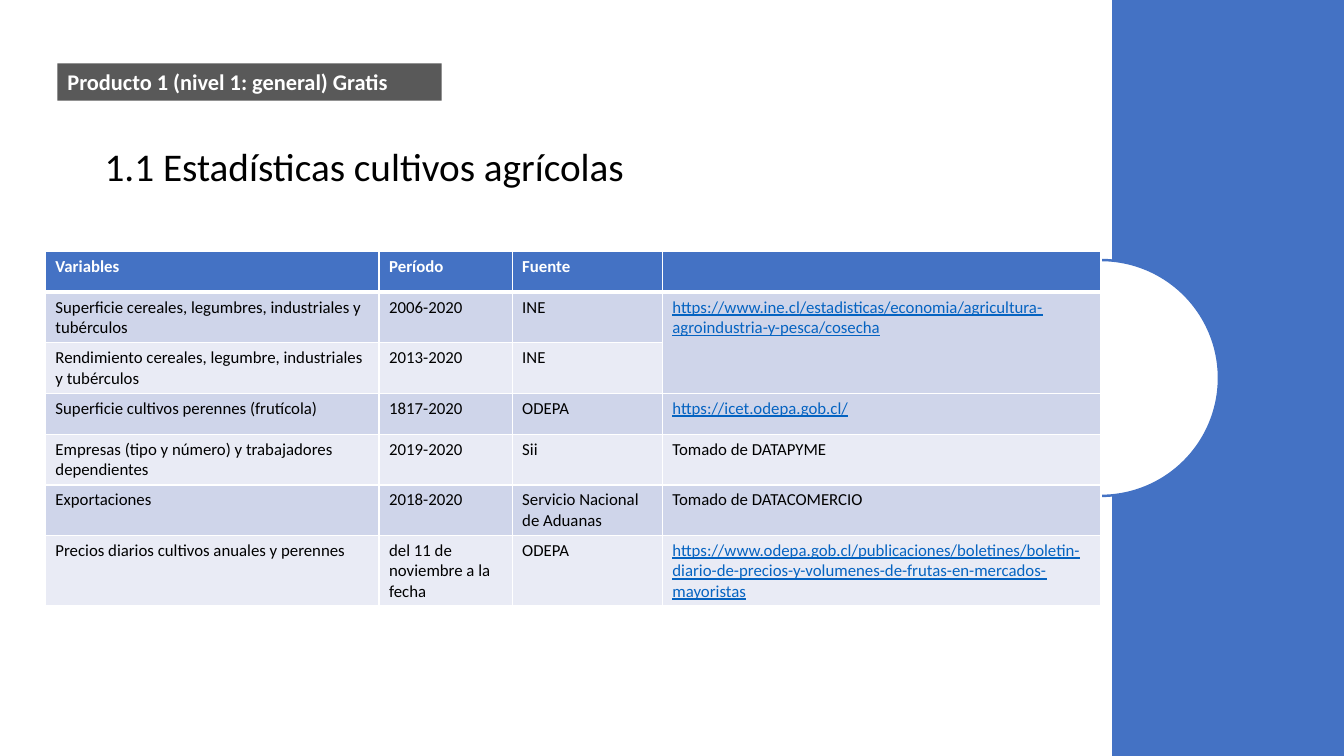
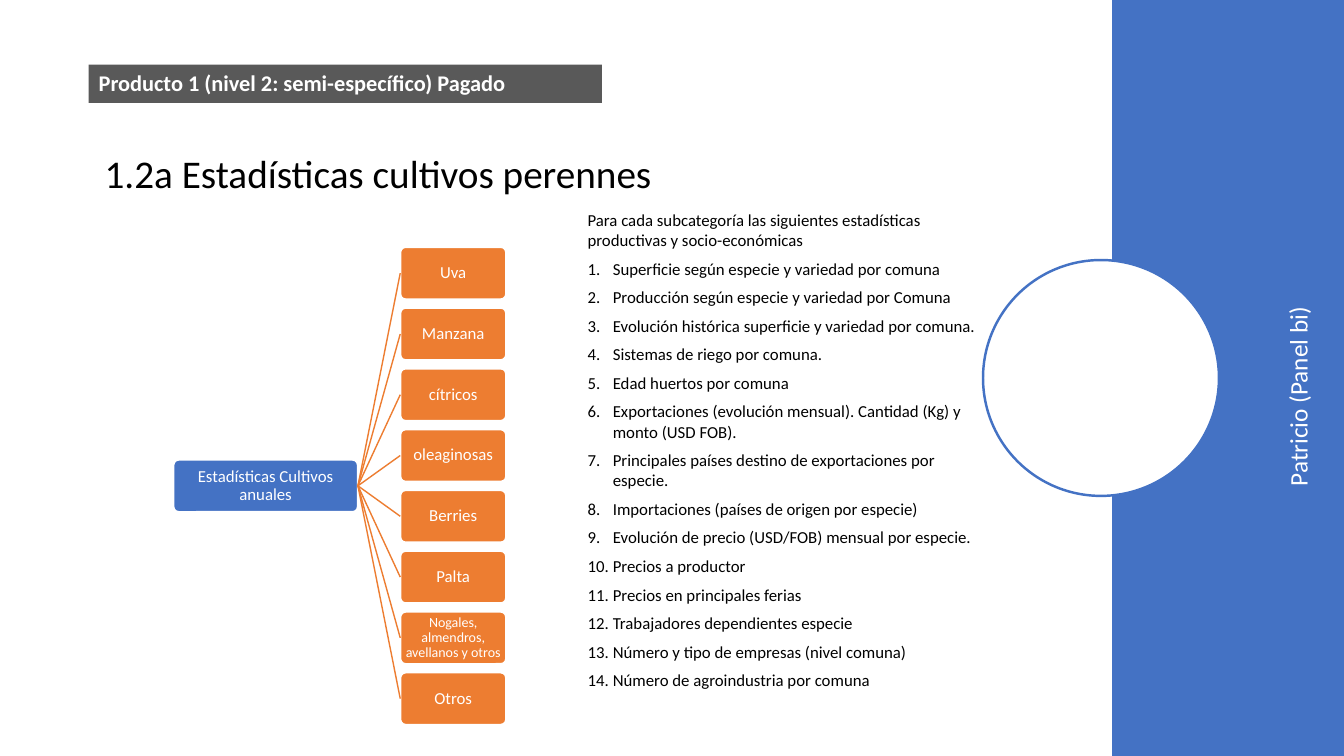
"""Build two slides on crop statistics: a table of sources and a tree of perennial crops."""
from dataclasses import dataclass

from lxml import etree
from pptx import Presentation
from pptx.dml.color import RGBColor
from pptx.enum.shapes import MSO_CONNECTOR, MSO_SHAPE
from pptx.enum.text import MSO_ANCHOR, PP_ALIGN
from pptx.oxml import parse_xml
from pptx.oxml.ns import nsdecls, qn
from pptx.util import Inches, Pt

RECT, ELLIPSE, ROUNDED = MSO_SHAPE.RECTANGLE, MSO_SHAPE.OVAL, MSO_SHAPE.ROUNDED_RECTANGLE
STRAIGHT = MSO_CONNECTOR.STRAIGHT
TOP, MIDDLE = MSO_ANCHOR.TOP, MSO_ANCHOR.MIDDLE
LEFT, CENTER = PP_ALIGN.LEFT, PP_ALIGN.CENTER
LEFT_SITE, RIGHT_SITE = 1, 3


@dataclass(frozen=True)
class Theme:
    font: str = "Calibri"
    blue: str = "4472C4"
    orange: str = "ED7D31"
    gray: str = "595959"
    white: str = "FFFFFF"
    black: str = "000000"
    link: str = "0563C1"
    row_dark: str = "CFD5EA"
    row_light: str = "E9EBF5"
    title: int = 28
    side: int = 18
    tag: int = 16
    body: int = 12
    small: int = 10


THEME = Theme()


def add_block(slide, preset, box, fill, line=None, line_width=0):
    block = slide.shapes.add_shape(preset, *map(Inches, box))
    block.shadow.inherit = False
    block.fill.solid()
    block.fill.fore_color.rgb = RGBColor.from_string(fill)
    if line:
        block.line.color.rgb = RGBColor.from_string(line)
        block.line.width = Pt(line_width)
    else:
        block.line.fill.background()
    return block


def write(frame, lines, size, color, bold=False, align=LEFT, anchor=TOP,
          spacing=1.0, after=0, numbered_from=None):
    frame.word_wrap = True
    frame.vertical_anchor = anchor
    for index, line in enumerate(lines):
        paragraph = frame.paragraphs[0] if index == 0 else frame.add_paragraph()
        paragraph.text = line
        if numbered_from is not None and index >= numbered_from:
            properties = paragraph._p.get_or_add_pPr()
            properties.set("marL", str(Inches(0.25)))
            properties.set("indent", str(-Inches(0.25)))
            etree.SubElement(properties, qn("a:buAutoNum"), type="arabicPeriod")
        paragraph.alignment = align
        paragraph.line_spacing = spacing
        paragraph.space_after = Pt(after)
        paragraph.font.name = THEME.font
        paragraph.font.size = Pt(size)
        paragraph.font.bold = bold
        paragraph.font.color.rgb = RGBColor.from_string(color)


deck = Presentation()
deck.slide_width, deck.slide_height = Inches(13.33), Inches(7.5)

headings = [
    ("1.1 Estadísticas cultivos agrícolas", (0.94, 1.23, 8.17, 0.88),
     "Producto 1 (nivel 1: general) Gratis", (0.57, 0.63, 3.81, 0.37)),
    ("1.2a Estadísticas cultivos perennes", (0.94, 1.24, 8.17, 1),
     "Producto 1 (nivel 2: semi-específico) Pagado", (0.88, 0.64, 5.09, 0.38)),
]
for title, title_box, tag, tag_box in headings:
    slide = deck.slides.add_slide(deck.slide_layouts[6])
    title_area = slide.shapes.add_textbox(*map(Inches, title_box))
    write(title_area.text_frame, [title], THEME.title, THEME.black, anchor=MIDDLE, spacing=0.9)
    add_block(slide, RECT, (11.03, 0, 2.3, 7.5), THEME.blue)
    add_block(slide, ELLIPSE, (9.75, 2.58, 2.34, 2.34), THEME.white, THEME.blue, 1.75)
    level_tag = add_block(slide, RECT, tag_box, THEME.gray)
    write(level_tag.text_frame, [tag], THEME.tag, THEME.white, bold=True)

sources_slide, crops_slide = deck.slides

sources = [
    ("Variables", "Período", "Fuente", ""),
    ("Superficie cereales, legumbres, industriales y tubérculos", "2006-2020", "INE",
     "https://www.ine.cl/estadisticas/economia/agricultura-agroindustria-y-pesca/cosecha"),
    ("Rendimiento cereales, legumbre, industriales y tubérculos", "2013-2020", "INE", ""),
    ("Superficie cultivos perennes (frutícola)", "1817-2020", "ODEPA",
     "https://icet.odepa.gob.cl/"),
    ("Empresas (tipo y número) y trabajadores dependientes", "2019-2020", "Sii",
     "Tomado de DATAPYME"),
    ("Exportaciones", "2018-2020", "Servicio Nacional de Aduanas", "Tomado de DATACOMERCIO"),
    ("Precios diarios cultivos anuales y perennes", "del 11 de noviembre a la fecha", "ODEPA",
     "https://www.odepa.gob.cl/publicaciones/boletines/"
     "boletin-diario-de-precios-y-volumenes-de-frutas-en-mercados-mayoristas"),
]
column_widths = [3.31, 1.32, 1.49, 4.35]
row_height = 0.41
source_table = sources_slide.shapes.add_table(
    len(sources), len(column_widths), Inches(0.45), Inches(2.49),
    Inches(sum(column_widths)), Inches(row_height * len(sources))).table
for column, width in zip(source_table.columns, column_widths):
    column.width = Inches(width)
for row_index, values in enumerate(sources):
    source_table.rows[row_index].height = Inches(row_height)
    header = row_index == 0
    row_fill = THEME.blue if header else THEME.row_dark if row_index % 2 else THEME.row_light
    for column_index, value in enumerate(values):
        cell = source_table.cell(row_index, column_index)
        is_link = value.startswith("https")
        color = THEME.white if header else THEME.link if is_link else THEME.black
        write(cell.text_frame, [value], THEME.body, color, bold=header)
        cell.text_frame.paragraphs[0].font.underline = is_link
        for side in ("lnL", "lnR", "lnT", "lnB"):
            thick = (header and side == "lnB") or (row_index == 1 and side == "lnT")
            cell._tc.get_or_add_tcPr().append(parse_xml(
                f'<a:{side} {nsdecls("a")} w="{Pt(3 if thick else 1)}"><a:solidFill>'
                f'<a:srgbClr val="{THEME.white}"/></a:solidFill></a:{side}>'))
        cell.fill.solid()
        cell.fill.fore_color.rgb = RGBColor.from_string(row_fill)
source_table.cell(1, 3).merge(source_table.cell(2, 3))

statistics = [
    "Para cada subcategoría las siguientes estadísticas productivas y socio-económicas",
    "Superficie según especie y variedad por comuna",
    "Producción según especie y variedad por Comuna",
    "Evolución histórica superficie y variedad por comuna.",
    "Sistemas de riego por comuna.",
    "Edad huertos por comuna",
    "Exportaciones (evolución mensual). Cantidad (Kg) y monto (USD FOB).",
    "Principales países destino de exportaciones por especie.",
    "Importaciones (países de origen por especie)",
    "Evolución de precio (USD/FOB) mensual por especie.",
    "Precios a productor",
    "Precios en principales ferias",
    "Trabajadores dependientes especie",
    "Número y tipo de empresas (nivel comuna)",
    "Número de agroindustria por comuna",
]
statistics_list = crops_slide.shapes.add_textbox(*map(Inches, (5.73, 2.03, 4.14, 5.17)))
write(statistics_list.text_frame, statistics, THEME.body, THEME.black, after=6, numbered_from=1)

owner = crops_slide.shapes.add_textbox(*map(Inches, (11.41, 3.26, 2.92, 0.4)))
owner.rotation = 270
write(owner.text_frame, ["Patricio (Panel bi)"], THEME.side, THEME.white)

crops = ["Uva", "Manzana", "cítricos", "oleaginosas", "Berries", "Palta",
         "Nogales, almendros, avellanos y otros", "Otros"]
node_height = 0.52
crop_top, crop_step = 2.45, 0.603
nodes = [("Estadísticas Cultivos anuales", (1.72, 4.56, 1.83, node_height), THEME.blue)]
nodes += [(crop, (3.97, crop_top + index * crop_step, 1.05, node_height), THEME.orange)
          for index, crop in enumerate(crops)]
tree = []
for label, box, fill in nodes:
    node = add_block(crops_slide, ROUNDED, box, fill, THEME.white, 1.5)
    node.adjustments[0] = 0.1
    frame = node.text_frame
    frame.margin_left = frame.margin_right = Inches(0.01)
    frame.margin_top = frame.margin_bottom = Inches(0.01)
    size = THEME.small if label.startswith("Nogales") else THEME.body
    write(frame, [label], size, THEME.white, align=CENTER, anchor=MIDDLE, spacing=0.9)
    tree.append(node)

root, *branches = tree
for branch in branches:
    link = crops_slide.shapes.add_connector(STRAIGHT, 0, 0, 0, 0)
    link.begin_connect(root, RIGHT_SITE)
    link.end_connect(branch, LEFT_SITE)
    link.line.color.rgb = RGBColor.from_string(THEME.orange)
    link.line.width = Pt(1)
    etree.SubElement(link._element.spPr, qn("a:effectLst"))

deck.save("out.pptx")
